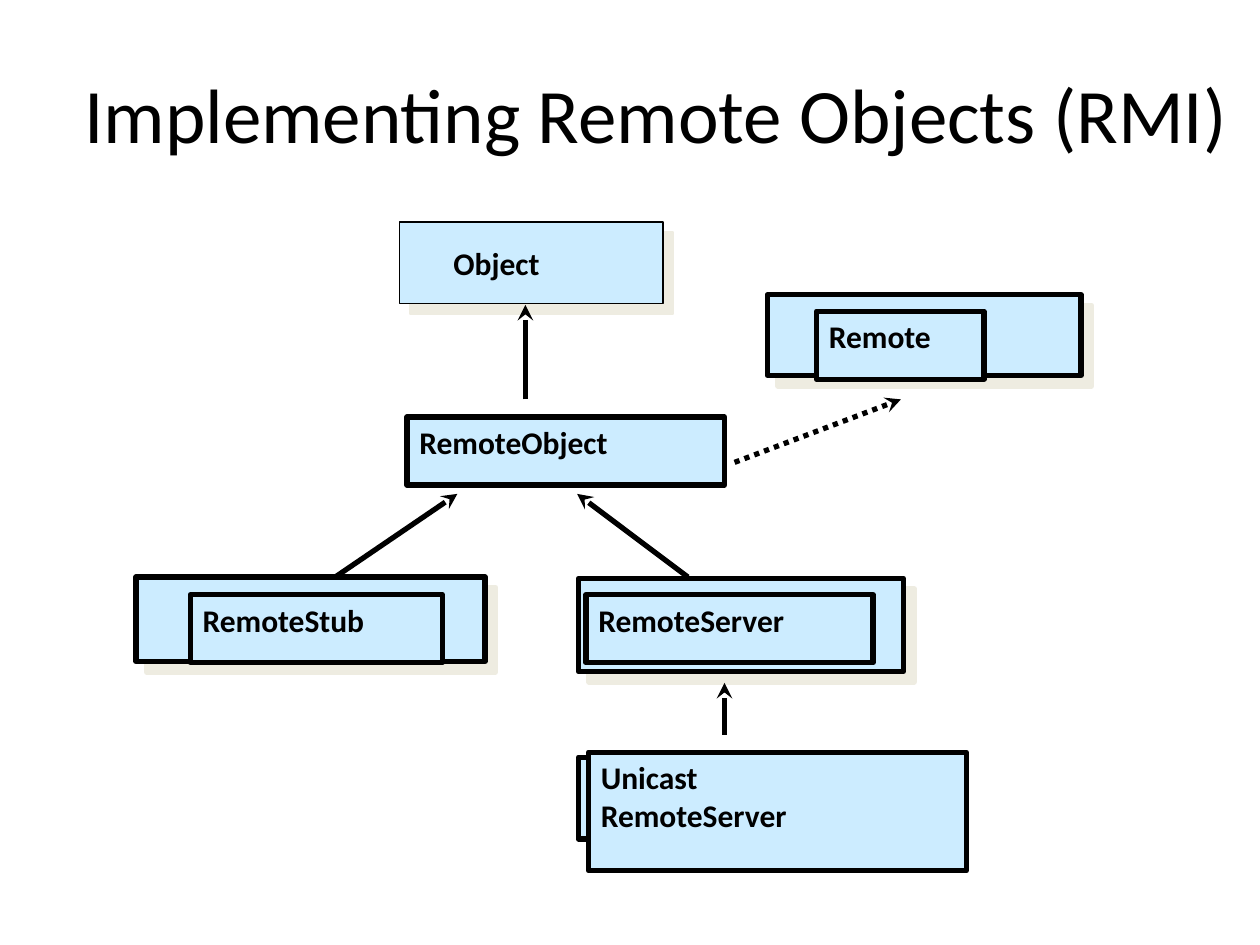
from lxml import etree
from pptx import Presentation
from pptx import util as u
from pptx.dml.color import RGBColor
from pptx.enum import dml, shapes, text
from pptx.oxml.ns import qn

BLACK = RGBColor(0x00, 0x00, 0x00)
SKY = RGBColor(0xCC, 0xEC, 0xFF)
SAND = RGBColor(0xEE, 0xEC, 0xE1)
FONT = "Calibri"
COLS, ROWS = 100, 75
WIDTH, HEIGHT = u.Inches(10), u.Inches(7.5)

CLASSES = [
    dict(box=(31.7, 17.6, 20.9, 6.5), label=(3.3, 1.3, 11.6, 5), name="Object",
         frame=1, border=0),
    dict(box=(32.3, 33.1, 25.2, 5.4), label=(0, 0, 25.2, 5.4), name="RemoteObject", frame=0),
    dict(box=(60.9, 23.4, 24.9, 6.4), label=(3.9, 1.3, 13.3, 5.4), name="Remote"),
    dict(box=(10.8, 45.8, 27.7, 6.7), label=(4.3, 1.4, 20, 5.4), name="RemoteStub"),
    dict(box=(45.9, 45.9, 25.8, 7.4), label=(0.6, 1.3, 22.8, 5.4), name="RemoteServer"),
    dict(box=(45.9, 60.1, 20.9, 6.5), label=(0.8, -0.4, 30, 9.4),
         name="Unicast\nRemoteServer"),
]
EXTENDS = [
    ((41.7, 31.7), (41.7, 24.2)),
    ((26.6, 45.8), (36.3, 39.2)),
    ((54.6, 45.8), (45.8, 39.2)),
    ((57.5, 58.3), (57.5, 54.2)),
]
IMPLEMENTS = ((58.3, 36.7), (71.5, 31.7))


def grid(*cells):
    """Turn alternating columns and rows into slide lengths."""
    units = (WIDTH / COLS, HEIGHT / ROWS)
    return [round(n * units[i % 2]) for i, n in enumerate(cells)]


def write(tf, words, size=18, bold=False, align=text.PP_ALIGN.LEFT,
          anchor=text.MSO_ANCHOR.TOP):
    """Fill a text frame with one paragraph for each line of words."""
    tf.word_wrap = True
    tf.auto_size = text.MSO_AUTO_SIZE.NONE
    tf.vertical_anchor = anchor
    for i, line in enumerate(words.split("\n")):
        p = tf.paragraphs[0] if i == 0 else tf.add_paragraph()
        p.alignment = align
        r = p.add_run()
        r.text = line
        r.font.name, r.font.size, r.font.bold = FONT, u.Pt(size), bold
        r.font.color.rgb = BLACK


def cast_shadow(sp):
    """Give a shape a hard shadow towards the lower right."""
    effects = sp._element.spPr.find(qn("a:effectLst"))
    shadow = etree.SubElement(effects, qn("a:outerShdw"), dist=str(u.Pt(8.5)),
                              dir=str(45 * 60000), algn="ctr", rotWithShape="0")
    etree.SubElement(shadow, qn("a:srgbClr"), val=str(SAND))


def add_box(parent, box, border):
    """Draw a sky-coloured rectangle, with an outline if border is set."""
    sp = parent.add_shape(shapes.MSO_SHAPE.RECTANGLE, *grid(*box))
    sp.shadow.inherit = False
    sp.fill.solid()
    sp.fill.fore_color.rgb = SKY
    if border:
        sp.line.color.rgb = BLACK
        sp.line.width = u.Pt(border)
    else:
        sp.line.fill.background()
    return sp


def add_class(s, box, label, name, frame=3, border=3):
    """Place a class name, with a shadowed frame behind it if frame is set."""
    parent = s.shapes
    if frame:
        parent = s.shapes.add_group_shape().shapes
        cast_shadow(add_box(parent, box, frame))
    x, y, w, h = label
    sp = add_box(parent, (box[0] + x, box[1] + y, w, h), border)
    write(sp.text_frame, name, bold=True)


def add_arrow(s, start, end, dash=None):
    """Draw an arrow from a class to its parent."""
    c = s.shapes.add_connector(shapes.MSO_CONNECTOR.STRAIGHT, *grid(*start, *end))
    c.line.color.rgb = BLACK
    c.line.width = u.Pt(3)
    if dash:
        c.line.dash_style = dash
    etree.SubElement(c.line._get_or_add_ln(), qn("a:tailEnd"), type="stealth")
    etree.SubElement(c._element.spPr, qn("a:effectLst"))


def add_title(s, box, words):
    """Place and format the title placeholder."""
    sp = s.shapes.title
    sp.left, sp.top, sp.width, sp.height = grid(*box)
    write(sp.text_frame, words, size=44, align=text.PP_ALIGN.CENTER,
          anchor=text.MSO_ANCHOR.MIDDLE)


def main():
    """Build the class diagram slide."""
    prs = Presentation()
    prs.slide_width, prs.slide_height = WIDTH, HEIGHT
    s = prs.slides.add_slide(prs.slide_layouts[5])
    add_title(s, (4.2, 2.9, 95.8, 12.1), "Implementing Remote Objects (RMI)")
    for item in CLASSES:
        add_class(s, **item)
    for start, end in EXTENDS:
        add_arrow(s, start, end)
    add_arrow(s, *IMPLEMENTS, dash=dml.MSO_LINE.ROUND_DOT)
    prs.save("out.pptx")


if __name__ == "__main__":
    main()
